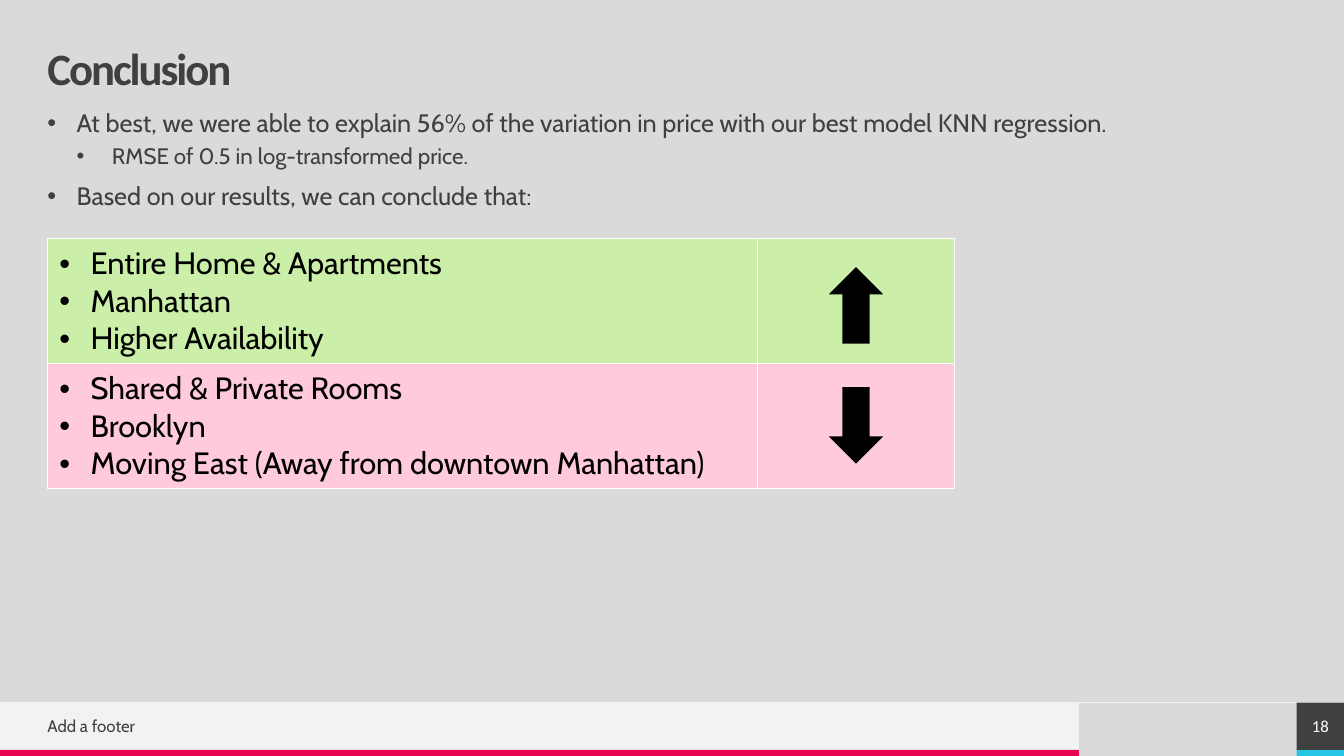
from dataclasses import dataclass

from lxml import etree
from pptx import Presentation
from pptx.dml.color import RGBColor
from pptx.enum.shapes import MSO_CONNECTOR, MSO_SHAPE
from pptx.enum.text import MSO_ANCHOR, PP_ALIGN
from pptx.oxml.ns import qn
from pptx.util import Inches, Pt

RECTANGLE = MSO_SHAPE.RECTANGLE
UP_ARROW = MSO_SHAPE.UP_ARROW
STRAIGHT = MSO_CONNECTOR.STRAIGHT
MIDDLE = MSO_ANCHOR.MIDDLE
TOP = MSO_ANCHOR.TOP
CENTER = PP_ALIGN.CENTER


@dataclass(frozen=True)
class Theme:
    background: str = "DADADA"
    band: str = "F2F2F2"
    pink: str = "E80554"
    cyan: str = "25C6E3"
    dark: str = "404040"
    white: str = "FFFFFF"
    black: str = "000000"
    rise: str = "CBEEA9"
    fall: str = "FECADC"
    body_font: str = "Cabin"
    heading_font: str = "Calibri"
    title_size: int = 32
    body_size: int = 18
    detail_size: int = 16
    table_size: int = 22
    footer_size: int = 12


THEME = Theme()
BODY = [
    (0, "At best, we were able to explain 56% of the variation in price with our best model KNN regression."),
    (1, " RMSE of 0.5 in log-transformed price."),
    (0, "Based on our results, we can conclude that:"),
]
BODY_LEVELS = [(0.29, 0.29, THEME.body_size, 10), (0.59, 0.3, THEME.detail_size, 5)]
EFFECTS = [
    (THEME.rise, 0, ["Entire Home & Apartments", "Manhattan", "Higher Availability"]),
    (THEME.fall, 180, ["Shared & Private Rooms", "Brooklyn", "Moving East (Away from downtown Manhattan)"]),
]


def color(value):
    return RGBColor.from_string(value)


def style(paragraph, size, value, font_name=THEME.body_font):
    paragraph.font.size = Pt(size)
    paragraph.font.name = font_name
    paragraph.font.color.rgb = color(value)


def add_bullet(paragraph, margin, hanging):
    properties = paragraph._p.get_or_add_pPr()
    properties.set("marL", str(Inches(margin)))
    properties.set("indent", str(-Inches(hanging)))
    font = etree.SubElement(properties, qn("a:buFont"))
    font.set("typeface", "Arial")
    etree.SubElement(properties, qn("a:buChar")).set("char", "•")


def add_paragraphs(frame, texts):
    for index, text in enumerate(texts):
        paragraph = frame.paragraphs[0] if index == 0 else frame.add_paragraph()
        paragraph.text = text
        yield paragraph


def prepare_frame(frame, anchor):
    frame.word_wrap = True
    frame.vertical_anchor = anchor
    frame.margin_left = frame.margin_right = frame.margin_top = frame.margin_bottom = 0
    return frame


def add_text_box(slide, left, top, width, height, anchor):
    box = slide.shapes.add_textbox(Inches(left), Inches(top), Inches(width), Inches(height))
    return prepare_frame(box.text_frame, anchor)


def add_block(slide, kind, left, top, width, height, fill):
    shape = slide.shapes.add_shape(kind, Inches(left), Inches(top), Inches(width), Inches(height))
    shape.shadow.inherit = False
    shape.fill.solid()
    shape.fill.fore_color.rgb = color(fill)
    shape.line.fill.background()
    return shape


def add_footer(slide, left, top, width, height):
    stripe = 0.06
    band_width = 10.7
    tile = height - stripe
    tile_left = left + width - tile
    add_block(slide, RECTANGLE, left, top, band_width, tile, THEME.band)
    add_block(slide, RECTANGLE, left, top + tile, band_width, stripe, THEME.pink)
    add_block(slide, RECTANGLE, tile_left, top + tile, tile, stripe, THEME.cyan)

    rule = slide.shapes.add_connector(STRAIGHT, Inches(left + width), Inches(top), Inches(left), Inches(top))
    rule.line.color.rgb = color(THEME.band)
    rule.line.width = Pt(0.5)
    etree.SubElement(rule._element.spPr, qn("a:effectLst"))

    frame = add_text_box(slide, left + 0.47, top + 0.07, 6.19, 0.32, MIDDLE)
    frame.text = "Add a footer"
    style(frame.paragraphs[0], THEME.footer_size, THEME.dark)

    number = add_block(slide, RECTANGLE, tile_left, top, tile, tile, THEME.dark)
    frame = prepare_frame(number.text_frame, MIDDLE)
    frame.text = "18"
    frame.paragraphs[0].alignment = CENTER
    style(frame.paragraphs[0], THEME.footer_size, THEME.white, THEME.heading_font)


def add_title(slide, left, top, width, height):
    frame = add_text_box(slide, left, top, width, height, MIDDLE)
    frame.text = "Conclusion"
    paragraph = frame.paragraphs[0]
    paragraph.line_spacing = 0.9
    style(paragraph, THEME.title_size, THEME.dark, THEME.heading_font)
    paragraph.font.bold = True
    paragraph.runs[0]._r.get_or_add_rPr().set("spc", "-150")


def add_body(slide, left, top, width, height):
    frame = add_text_box(slide, left, top, width, height, TOP)
    paragraphs = add_paragraphs(frame, [text for _, text in BODY])
    for paragraph, (level, _) in zip(paragraphs, BODY):
        margin, hanging, size, space = BODY_LEVELS[level]
        paragraph.level = level
        paragraph.line_spacing = 0.9
        paragraph.space_before = Pt(space)
        add_bullet(paragraph, margin, hanging)
        style(paragraph, size, THEME.dark)


def format_cell(cell, fill):
    cell.margin_left = cell.margin_right = Inches(0.12)
    cell.margin_top = cell.margin_bottom = Inches(0.06)
    properties = cell._tc.get_or_add_tcPr()
    for side in ("a:lnL", "a:lnR", "a:lnT", "a:lnB"):
        border = etree.SubElement(properties, qn(side))
        border.set("w", str(Pt(1)))
        solid = etree.SubElement(border, qn("a:solidFill"))
        etree.SubElement(solid, qn("a:srgbClr")).set("val", THEME.white)
    cell.fill.solid()
    cell.fill.fore_color.rgb = color(fill)


def add_effects(slide, left, top, width, height):
    arrow_column = 1.96
    arrow_width, arrow_height = 0.54, 0.76
    arrow_gap = 1.19
    row_height = height / len(EFFECTS)
    frame = slide.shapes.add_table(
        len(EFFECTS), 2, Inches(left), Inches(top), Inches(width), Inches(height)
    )
    table = frame.table
    table.first_row = False
    table.horz_banding = False
    table.columns[0].width = Inches(width - arrow_column)
    table.columns[1].width = Inches(arrow_column)
    arrow_left = left + width - (arrow_column + arrow_width) / 2
    for index, (fill, rotation, texts) in enumerate(EFFECTS):
        table.rows[index].height = Inches(row_height)
        for cell in table.rows[index].cells:
            format_cell(cell, fill)
        for paragraph in add_paragraphs(table.cell(index, 0).text_frame, texts):
            add_bullet(paragraph, 0.31, 0.31)
            style(paragraph, THEME.table_size, THEME.black)
        arrow_top = top + 0.28 + index * arrow_gap
        arrow = add_block(slide, UP_ARROW, arrow_left, arrow_top, arrow_width, arrow_height, THEME.black)
        arrow.rotation = rotation


def main():
    presentation = Presentation()
    presentation.slide_width = Inches(13.33)
    presentation.slide_height = Inches(7.5)
    slide = presentation.slides.add_slide(presentation.slide_layouts[6])
    slide.background.fill.solid()
    slide.background.fill.fore_color.rgb = color(THEME.background)
    add_footer(slide, 0, 6.97, 13.33, 0.53)
    add_title(slide, 0.47, 0.47, 12.39, 0.47)
    add_body(slide, 0.47, 1.1, 12.39, 5.67)
    add_effects(slide, 0.47, 2.37, 9, 2.48)
    presentation.save("out.pptx")


if __name__ == "__main__":
    main()
